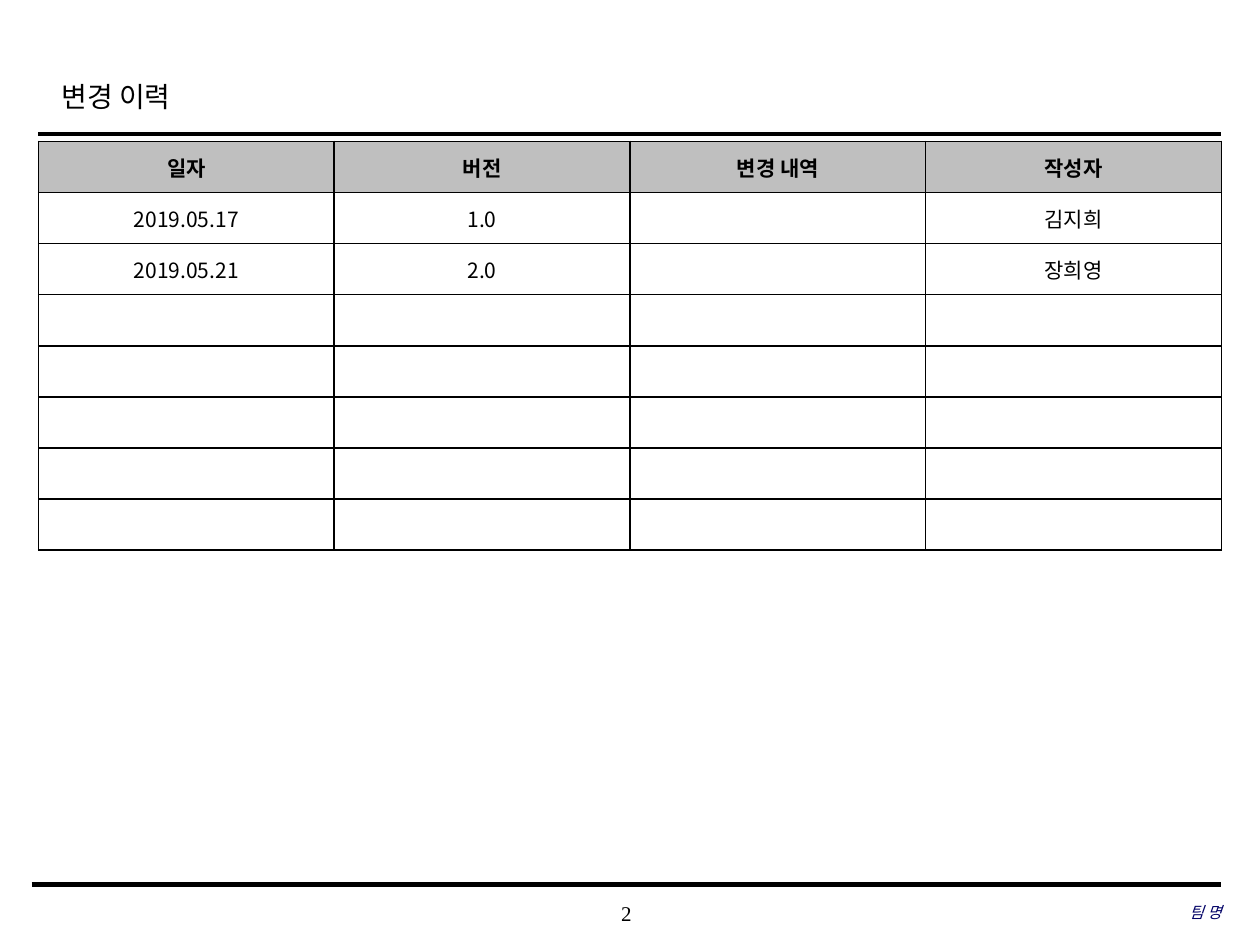
from lxml import etree
from pptx import Presentation
from pptx.dml.color import RGBColor
from pptx.enum import shapes, text
from pptx.oxml import ns
from pptx.util import Pt

BLACK = RGBColor(0x00, 0x00, 0x00)
WHITE = RGBColor(0xFF, 0xFF, 0xFF)
GREY = RGBColor(0xBF, 0xBF, 0xBF)
NAVY = RGBColor(0x00, 0x00, 0x66)
SERIF, SANS = "Times New Roman", "Noto Sans CJK KR"

HEADERS = ["일자", "버전", "변경 내역", "작성자"]
CHANGES = [
    ["2019.05.17", "1.0", "", "김지희"],
    ["2019.05.21", "2.0", "", "장희영"],
]
EMPTY_ROWS = 5


def set_attrs(obj, values):
    for name, value in values.items():
        setattr(obj, name, value)


def write(tf, words, align, color=BLACK, **font):
    p = tf.paragraphs[0]
    p.alignment = align
    r = p.add_run()
    r.text = words
    set_attrs(r.font, font)
    r.font.color.rgb = color
    # Korean letters use the East Asian font
    ea = etree.SubElement(r.font._element, ns.qn("a:ea"))
    ea.set("typeface", SANS)
    return p


def add_rule(slide, left, top, right, weight):
    line = slide.shapes.add_connector(
        shapes.MSO_CONNECTOR.STRAIGHT, Pt(left), Pt(top), Pt(right), Pt(top))
    line.line.color.rgb = BLACK
    line.line.width = Pt(weight)
    etree.SubElement(line._element.spPr, ns.qn("a:effectLst"))


def add_label(slide, box, words, align, **font):
    tf = slide.shapes.add_textbox(*map(Pt, box)).text_frame
    set_attrs(tf, dict(
        word_wrap=True, vertical_anchor=text.MSO_ANCHOR.MIDDLE,
        margin_left=0, margin_top=0, margin_right=0, margin_bottom=0))
    write(tf, words, align, name=SERIF, **font)


def add_heading(slide, box):
    left, top, width, height = box
    title = slide.shapes.title
    set_attrs(title, dict(left=Pt(left), top=Pt(top),
                          width=Pt(width), height=Pt(height)))
    tf = title.text_frame
    set_attrs(tf, dict(word_wrap=True, auto_size=text.MSO_AUTO_SIZE.NONE,
                       vertical_anchor=text.MSO_ANCHOR.MIDDLE))
    p = write(tf, "변경 이력", text.PP_ALIGN.LEFT, name=SERIF, size=Pt(16))
    p.line_spacing = 1.2


def add_borders(cell):
    tc_pr = cell._tc.get_or_add_tcPr()
    for i, side in enumerate(("lnL", "lnR", "lnT", "lnB")):
        ln = etree.Element(ns.qn(f"a:{side}"), w=str(Pt(1)))
        fill = etree.SubElement(ln, ns.qn("a:solidFill"))
        etree.SubElement(fill, ns.qn("a:srgbClr"), val=str(BLACK))
        tc_pr.insert(i, ln)


def add_history(slide, box):
    rows = [HEADERS, *CHANGES] + [[""] * len(HEADERS)] * EMPTY_ROWS
    left, top, width, height = box
    table = slide.shapes.add_table(
        len(rows), len(HEADERS), *map(Pt, box)).table
    for column in table.columns:
        column.width = Pt(width / len(HEADERS))
    for y, row in enumerate(rows):
        table.rows[y].height = Pt(height / len(rows))
        for x, words in enumerate(row):
            cell = table.cell(y, x)
            set_attrs(cell, dict(vertical_anchor=text.MSO_ANCHOR.MIDDLE,
                                 margin_top=0, margin_bottom=0))
            cell.fill.solid()
            cell.fill.fore_color.rgb = WHITE if y else GREY
            add_borders(cell)
            if words:
                write(cell.text_frame, words, text.PP_ALIGN.CENTER,
                      name=SANS, size=Pt(12), bold=y == 0)


def add_footer(slide, box):
    left, top, width, height = box
    right = left + width
    add_rule(slide, left, top, right, 3)
    # Page number and team name
    add_label(slide, (283, top + 4.5, 150, height - 4.5), "2",
              text.PP_ALIGN.CENTER, size=Pt(12))
    add_label(slide, (right - 220, top + 4, 220, height - 4), "팀 명",
              text.PP_ALIGN.RIGHT, color=NAVY, size=Pt(9), italic=True)


def main():
    prs = Presentation()
    prs.slide_width, prs.slide_height = Pt(720), Pt(540)
    slide = prs.slides.add_slide(prs.slide_layouts[5])
    add_heading(slide, (28, 35, 544, 36))
    add_rule(slide, 22, 76.5, 698, 2.5)
    add_history(slide, (22, 80.8, 676, 233.6))
    add_footer(slide, (18, 505.5, 680, 28))
    prs.save("out.pptx")


if __name__ == "__main__":
    main()
